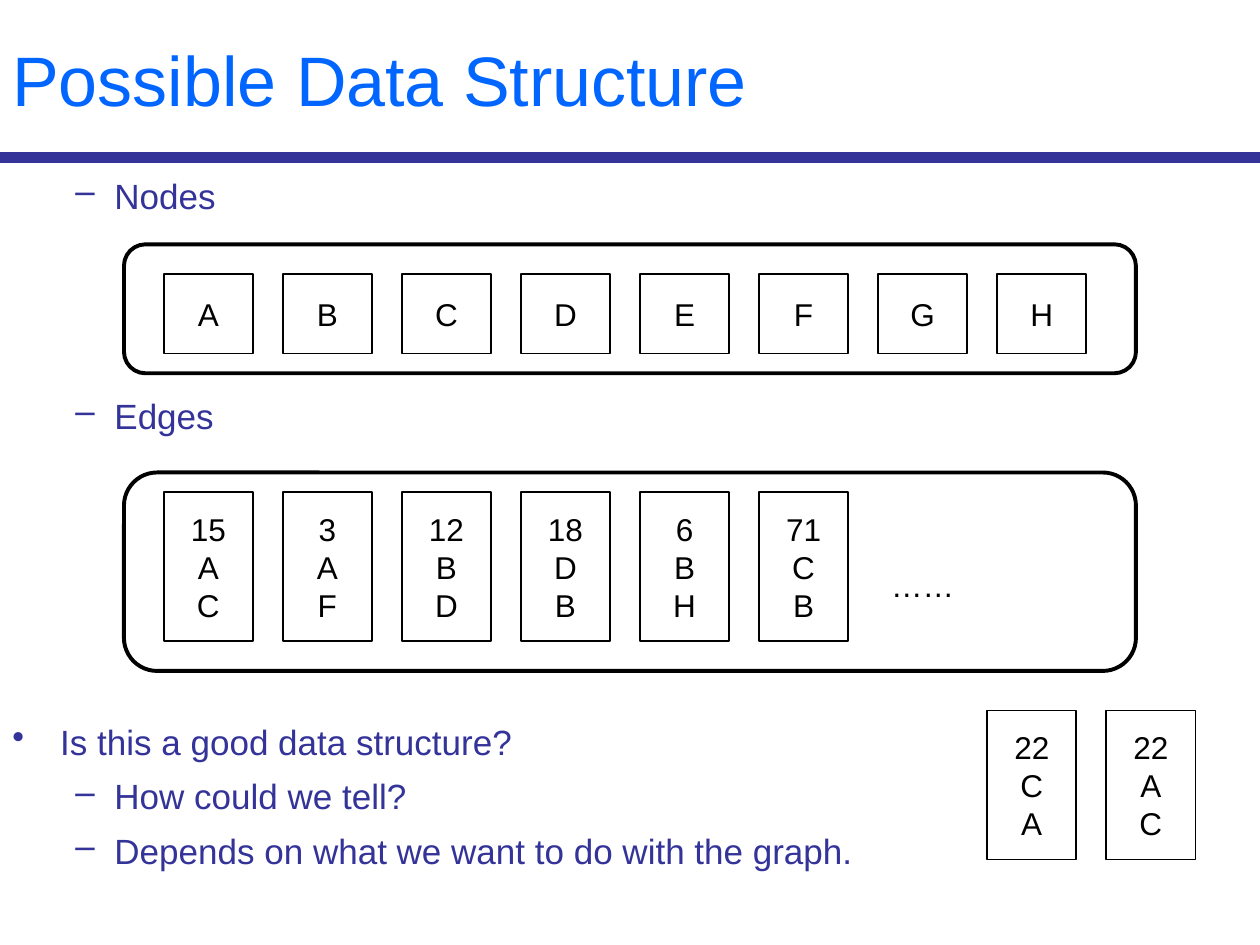
from lxml import etree
from pptx import Presentation
from pptx import util as u
from pptx.dml.color import RGBColor
from pptx.enum import shapes, text
from pptx.oxml.ns import qn

BLACK = RGBColor(0x00, 0x00, 0x00)
WHITE = RGBColor(0xFF, 0xFF, 0xFF)
NAVY = RGBColor(0x33, 0x33, 0x99)
BLUE = RGBColor(0x00, 0x66, 0xFF)

COLUMNS, ROWS = 127, 95.25
FIRST_CELL, CELL_PITCH, CELL_WIDTH = 16.5, 12, 9
NODE_HEIGHT, EDGE_HEIGHT = 8, 15
NODES_TOP, EDGES_TOP, EXTRA_TOP = 27.63, 49.63, 71.63

NODES = "ABCDEFGH"
EDGES = ["15 A C", "3 A F", "12 B D", "18 D B", "6 B H", "71 C B"]
EXTRA_EDGES = ["22 C A", "22 A C"]
QUESTIONS = [
    ("•", "Is this a good data structure?"),
    ("–", "How could we tell?"),
    ("–", "Depends on what we want to do with the graph."),
]
INDENTS = {"•": (0.38, -0.38), "–": (0.81, -0.31)}


def write(paragraph, content, size=18, color=BLACK, align=text.PP_ALIGN.LEFT,
          bullet=None, before=0):
    """Put formatted text into a paragraph."""
    if bullet:
        margin, indent = INDENTS[bullet]
        properties = paragraph._p.get_or_add_pPr()
        properties.set("marL", str(u.Inches(margin)))
        properties.set("indent", str(u.Inches(indent)))
        etree.SubElement(properties, qn("a:buChar"), char=bullet)
    paragraph.alignment = align
    paragraph.space_before = u.Pt(before)
    run = paragraph.add_run()
    run.text = content
    run.font.name = "Arial"
    run.font.size = u.Pt(size)
    run.font.color.rgb = color


class Deck:
    """Hold the slide, its grid and its style."""

    def __init__(self):
        self.presentation = Presentation()
        self.presentation.slide_width = u.Inches(10)
        self.presentation.slide_height = u.Inches(7.5)
        self.slide = self.presentation.slides.add_slide(self.presentation.slide_layouts[6])

    def place(self, left, top, width, height):
        """Turn grid columns and rows into lengths."""
        column = self.presentation.slide_width / COLUMNS
        row = self.presentation.slide_height / ROWS
        return [round(n) for n in (left * column, top * row, width * column, height * row)]

    def rule(self, top):
        """Draw a thick line across the slide."""
        left, y, width, _ = self.place(0, top, COLUMNS, 0)
        line = self.slide.shapes.add_connector(
            shapes.MSO_CONNECTOR.STRAIGHT, left, y, left + width, y)
        line.line.color.rgb = NAVY
        line.line.width = u.Pt(6)
        etree.SubElement(line._element.spPr, qn("a:effectLst"))

    def textbox(self, area, items, anchor=text.MSO_ANCHOR.TOP, spacing=0, **style):
        """Add a text box of (bullet, text) paragraphs."""
        frame = self.slide.shapes.add_textbox(*self.place(*area)).text_frame
        frame.word_wrap = True
        frame.vertical_anchor = anchor
        for index, (bullet, content) in enumerate(items):
            paragraph = frame.add_paragraph() if index else frame.paragraphs[0]
            write(paragraph, content, bullet=bullet, before=spacing if index else 0, **style)

    def box(self, area, lines=(), kind=shapes.MSO_SHAPE.RECTANGLE, weight=1):
        """Add an outlined box with one centred paragraph per line."""
        shape = self.slide.shapes.add_shape(kind, *self.place(*area))
        shape.shadow.inherit = False
        shape.fill.solid()
        shape.fill.fore_color.rgb = WHITE
        shape.line.color.rgb = BLACK
        shape.line.width = u.Pt(weight)
        frame = shape.text_frame
        frame.word_wrap = False
        frame.vertical_anchor = text.MSO_ANCHOR.MIDDLE
        for index, content in enumerate(lines):
            paragraph = frame.add_paragraph() if index else frame.paragraphs[0]
            write(paragraph, content, align=text.PP_ALIGN.CENTER)

    def container(self, top, height):
        """Add the rounded frame around a list."""
        self.box((12.5, top, 102, height), kind=shapes.MSO_SHAPE.ROUNDED_RECTANGLE, weight=2.25)

    def cells(self, entries, left, top, height):
        """Add a row of evenly spaced cells."""
        for index, entry in enumerate(entries):
            self.box((left + index * CELL_PITCH, top, CELL_WIDTH, height), entry.split())


def main():
    deck = Deck()
    deck.rule(15.88)
    deck.textbox((0, 0, COLUMNS, 15.88), [(None, "Possible Data Structure")],
                 anchor=text.MSO_ANCHOR.MIDDLE, size=40, color=BLUE)
    for top, items in ((16.94, [("–", "Nodes")]), (39.1, [("–", "Edges")]), (72, QUESTIONS)):
        deck.textbox((0, top, 98, 5.5 * len(items)), items, spacing=7, size=20, color=NAVY)

    deck.container(24.63, 13)
    deck.cells(NODES, FIRST_CELL, NODES_TOP, NODE_HEIGHT)
    deck.container(47.63, 20)
    deck.cells(EDGES, FIRST_CELL, EDGES_TOP, EDGE_HEIGHT)
    deck.textbox((FIRST_CELL + len(EDGES) * CELL_PITCH, EDGES_TOP + 1.83, CELL_WIDTH, EDGE_HEIGHT),
                 [(None, "……")], anchor=text.MSO_ANCHOR.MIDDLE, align=text.PP_ALIGN.CENTER)
    deck.cells(EXTRA_EDGES, 99.5, EXTRA_TOP, EDGE_HEIGHT)
    deck.presentation.save("out.pptx")


if __name__ == "__main__":
    main()
